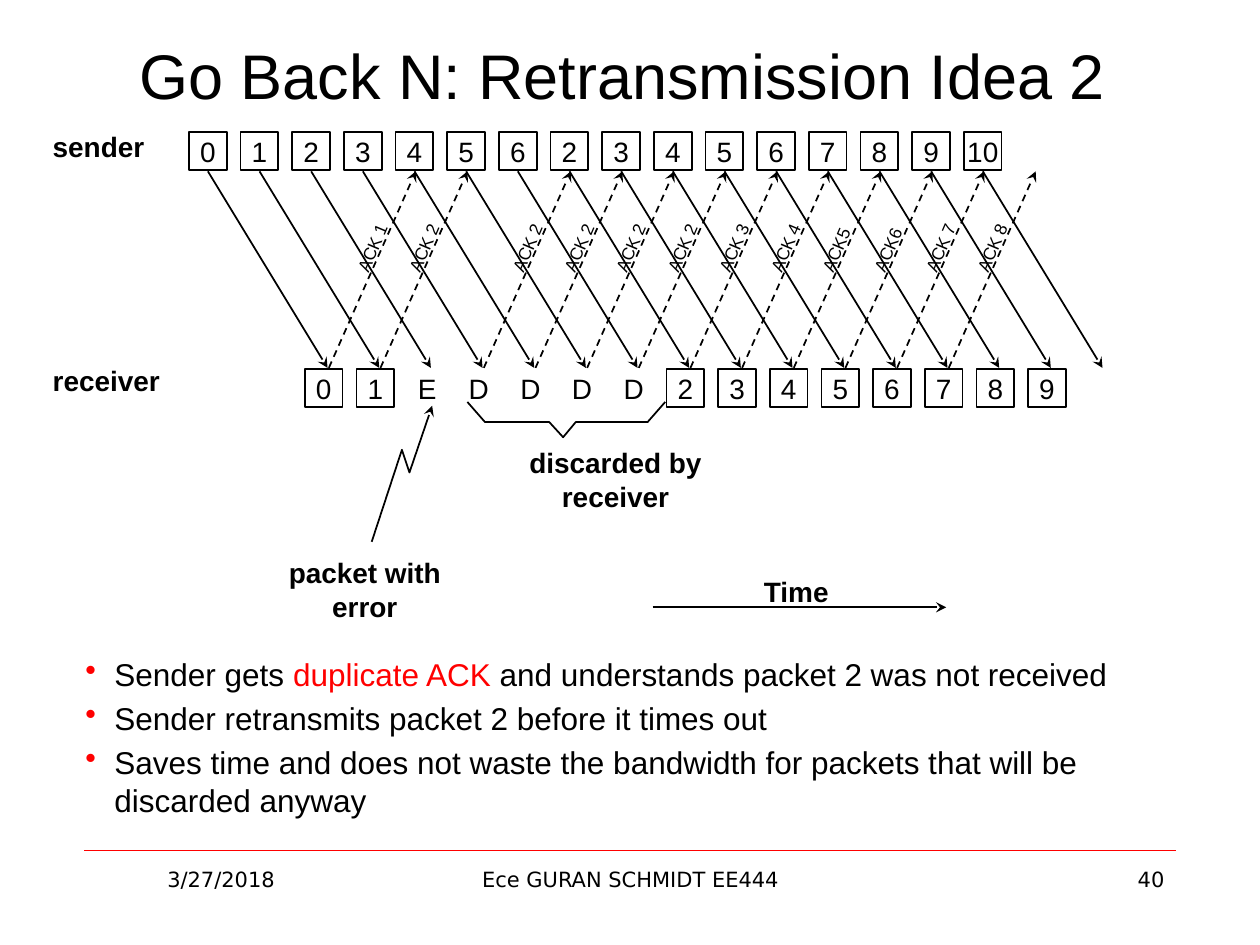
import lxml.etree
import pptx
import pptx.dml.color
import pptx.enum.dml
import pptx.enum.shapes
import pptx.enum.text
import pptx.oxml.ns
import pptx.util

Inches = pptx.util.Inches
Pt = pptx.util.Pt
ALIGN = pptx.enum.text.PP_ALIGN
ANCHOR = pptx.enum.text.MSO_ANCHOR

BLACK = pptx.dml.color.RGBColor(0, 0, 0)
WHITE = pptx.dml.color.RGBColor(255, 255, 255)
RED = pptx.dml.color.RGBColor(255, 0, 0)

PITCH = 0.41
CELL = 0.3
SENDER_LEFT, SENDER_TOP = 1.5, 1.05
RECEIVER_LEFT, RECEIVER_TOP = 2.42, 2.93
ARROW_TOP, ARROW_BOTTOM = 1.36, 2.92
PACKET_RUN, ACK_RUN = 0.95, 0.69

SENT = "0 1 2 3 4 5 6 2 3 4 5 6 7 8 9 10".split()
RECEIVED = "0 1 E D D D D 2 3 4 5 6 7 8 9".split()
ACKS = ["ACK 1", "ACK 2", None, "ACK 2", "ACK 2", "ACK 2", "ACK 2",
        "ACK 3", "ACK 4", "ACK5", "ACK6", "ACK 7", "ACK 8"]
BULLETS = [
    [("Sender gets ", BLACK), ("duplicate ACK", RED),
     (" and understands packet 2 was not received", BLACK)],
    [("Sender retransmits packet 2 before it times out", BLACK)],
    [("Saves time and does not waste the bandwidth for packets "
      "that will be discarded anyway", BLACK)],
]


def add_element(parent, tag, **attributes):
    return lxml.etree.SubElement(parent, pptx.oxml.ns.qn(tag), attributes)


def style_paragraph(para, size, align=ALIGN.LEFT, bold=False, name="Arial"):
    para.alignment = align
    para.font.size = Pt(size)
    para.font.name = name
    para.font.bold = bold
    para.font.color.rgb = BLACK


def add_text(page, place, lines, size, align=ALIGN.LEFT, bold=False,
             name="Arial", wrap=False, anchor=ANCHOR.TOP):
    box = page.shapes.add_textbox(*map(Inches, place))
    frame = box.text_frame
    frame.word_wrap = wrap
    frame.vertical_anchor = anchor
    frame.text = "\n".join(lines)
    for para in frame.paragraphs:
        style_paragraph(para, size, align, bold, name)
    return box


def add_cell(page, left, top, label):
    cell = page.shapes.add_shape(pptx.enum.shapes.MSO_SHAPE.RECTANGLE,
                                 Inches(left), Inches(top), Inches(CELL), Inches(CELL))
    cell.shadow.inherit = False
    cell.fill.solid()
    cell.fill.fore_color.rgb = WHITE
    if label.isdigit():
        cell.line.color.rgb = BLACK
        cell.line.width = Pt(1)
    else:
        cell.line.fill.background()
    frame = cell.text_frame
    frame.word_wrap = False
    frame.vertical_anchor = ANCHOR.MIDDLE
    frame.text = label
    style_paragraph(frame.paragraphs[0], 16, ALIGN.CENTER)


def add_arrowhead(shape):
    add_element(shape.line._get_or_add_ln(), "a:tailEnd", type="stealth")


def add_line(page, start, end, color=BLACK, width=1, dashed=False, arrow=True):
    line = page.shapes.add_connector(pptx.enum.shapes.MSO_CONNECTOR.STRAIGHT,
                                     *map(Inches, (*start, *end)))
    line.line.color.rgb = color
    line.line.width = Pt(width)
    if dashed:
        line.line.dash_style = pptx.enum.dml.MSO_LINE.DASH
    if arrow:
        add_arrowhead(line)
    add_element(line._element.spPr, "a:effectLst")


def add_outline(page, points, arrow=False):
    corners = [(Inches(x), Inches(y)) for x, y in points]
    builder = page.shapes.build_freeform(*corners[0])
    builder.add_line_segments(corners[1:], close=False)
    outline = builder.convert_to_shape()
    outline.shadow.inherit = False
    outline.fill.background()
    outline.line.color.rgb = BLACK
    outline.line.width = Pt(1)
    if arrow:
        add_arrowhead(outline)


def add_bullets(page):
    box = page.shapes.add_textbox(*map(Inches, (0.58, 5.15, 8.65, 1.42)))
    frame = box.text_frame
    frame.word_wrap = True
    for index, pieces in enumerate(BULLETS):
        para = frame.add_paragraph() if index else frame.paragraphs[0]
        if index:
            para.space_before = Pt(3.6)
        properties = para._p.get_or_add_pPr()
        properties.set("marL", str(Inches(0.23)))
        properties.set("indent", str(-Inches(0.23)))
        color = add_element(properties, "a:buClr")
        add_element(color, "a:srgbClr", val=str(RED))
        add_element(properties, "a:buChar", char="•")
        style_paragraph(para, 18)
        for text, shade in pieces:
            span = para.add_run()
            span.text = text
            span.font.color.rgb = shade


def add_packets(page):
    for index, label in enumerate(SENT):
        left = SENDER_LEFT + index * PITCH
        start = left + CELL / 2
        add_cell(page, left, SENDER_TOP, label)
        add_line(page, (start, ARROW_TOP), (start + PACKET_RUN, ARROW_BOTTOM))
    for index, label in enumerate(RECEIVED):
        add_cell(page, RECEIVER_LEFT + index * PITCH, RECEIVER_TOP, label)


def add_acks(page):
    width, height = 0.6, 0.27
    for index, label in enumerate(ACKS):
        if label is None:
            continue
        start = RECEIVER_LEFT + CELL / 2 + 0.04 + index * PITCH
        add_line(page, (start, ARROW_BOTTOM), (start + ACK_RUN, ARROW_TOP), dashed=True)
        left = start + (ACK_RUN - width) / 2
        box = add_text(page, (left, 1.83, width, height), [label], 10)
        box.rotation = 293


def add_annotations(page):
    add_outline(page, [(3.71, 3.19), (3.85, 3.35), (4.36, 3.35), (4.47, 3.47),
                       (4.57, 3.35), (5.14, 3.35), (5.28, 3.19)])
    add_outline(page, [(2.95, 4.3), (3.19, 3.57), (3.25, 3.75), (3.43, 3.22)], arrow=True)
    add_line(page, (5.18, 4.82), (7.51, 4.82))
    for place, lines, align in [
        ((0.32, 0.98, 0.93, 0.37), ["sender"], ALIGN.LEFT),
        ((0.32, 2.84, 1.05, 0.37), ["receiver"], ALIGN.LEFT),
        ((4.1, 3.49, 1.57, 0.64), ["discarded by", "receiver"], ALIGN.CENTER),
        ((2.19, 4.36, 1.41, 0.64), ["packet with", "error"], ALIGN.CENTER),
        ((5.96, 4.51, 0.72, 0.37), ["Time"], ALIGN.CENTER),
    ]:
        add_text(page, place, lines, 16, align, bold=True)


def add_footer(page):
    add_line(page, (0.67, 6.75), (9.33, 6.75), RED, 0.25, arrow=False)
    for left, width, text, align in [
        (0.67, 2.17, "3/27/2018", ALIGN.CENTER),
        (3.42, 3.17, "Ece GURAN SCHMIDT EE444", ALIGN.CENTER),
        (7.17, 2.17, "40", ALIGN.RIGHT),
    ]:
        add_text(page, (left, 6.83, width, 0.52), [text], 12, align,
                 name="DejaVu Sans", wrap=True)


def main():
    deck = pptx.Presentation()
    deck.slide_width, deck.slide_height = Inches(10), Inches(7.5)
    page = deck.slides.add_slide(deck.slide_layouts[6])
    add_footer(page)
    add_text(page, (0.44, 0.3, 9, 0.64), ["Go Back N: Retransmission Idea 2"], 36,
             ALIGN.CENTER, wrap=True, anchor=ANCHOR.BOTTOM)
    add_bullets(page)
    add_packets(page)
    add_acks(page)
    add_annotations(page)
    deck.save("out.pptx")


if __name__ == "__main__":
    main()
